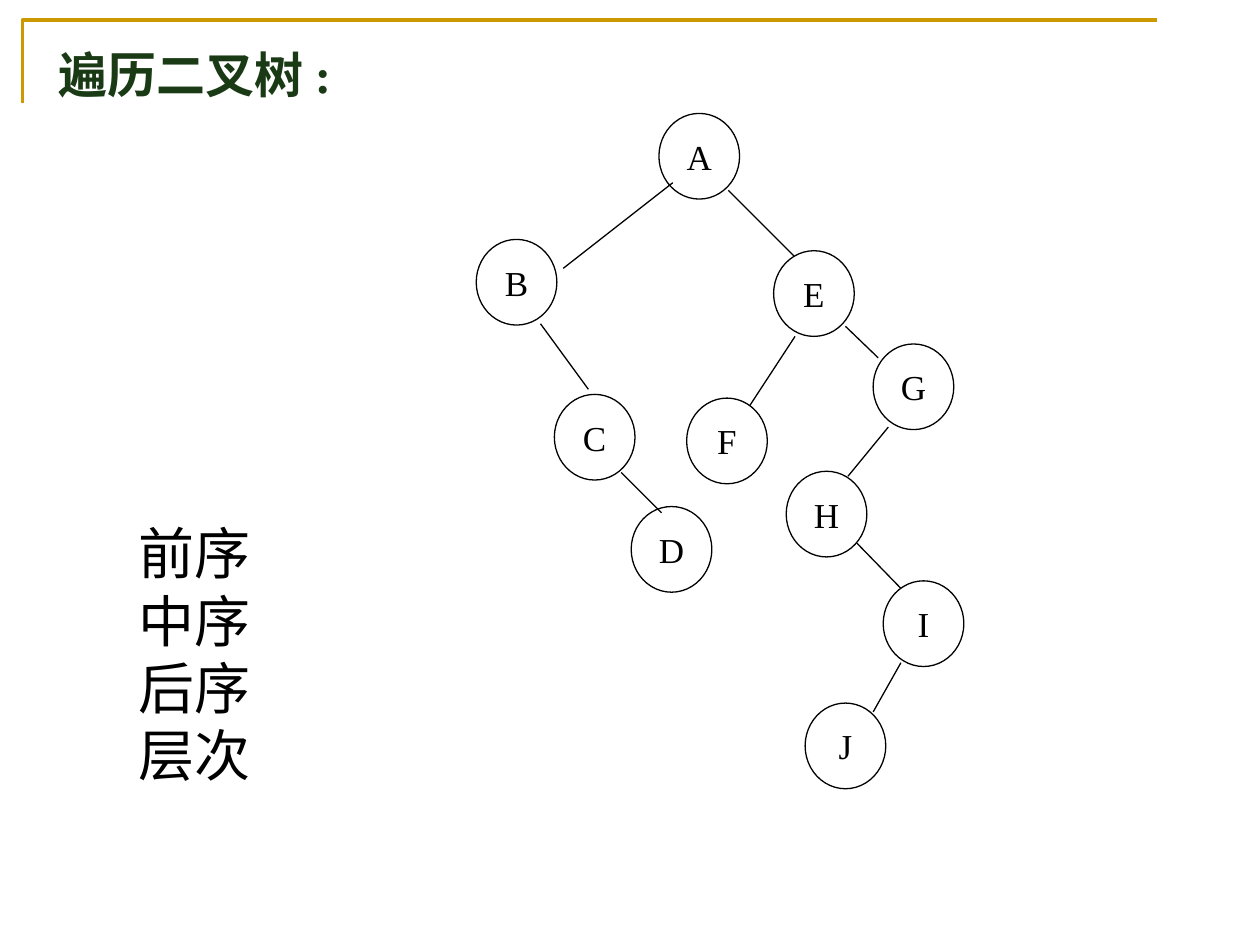
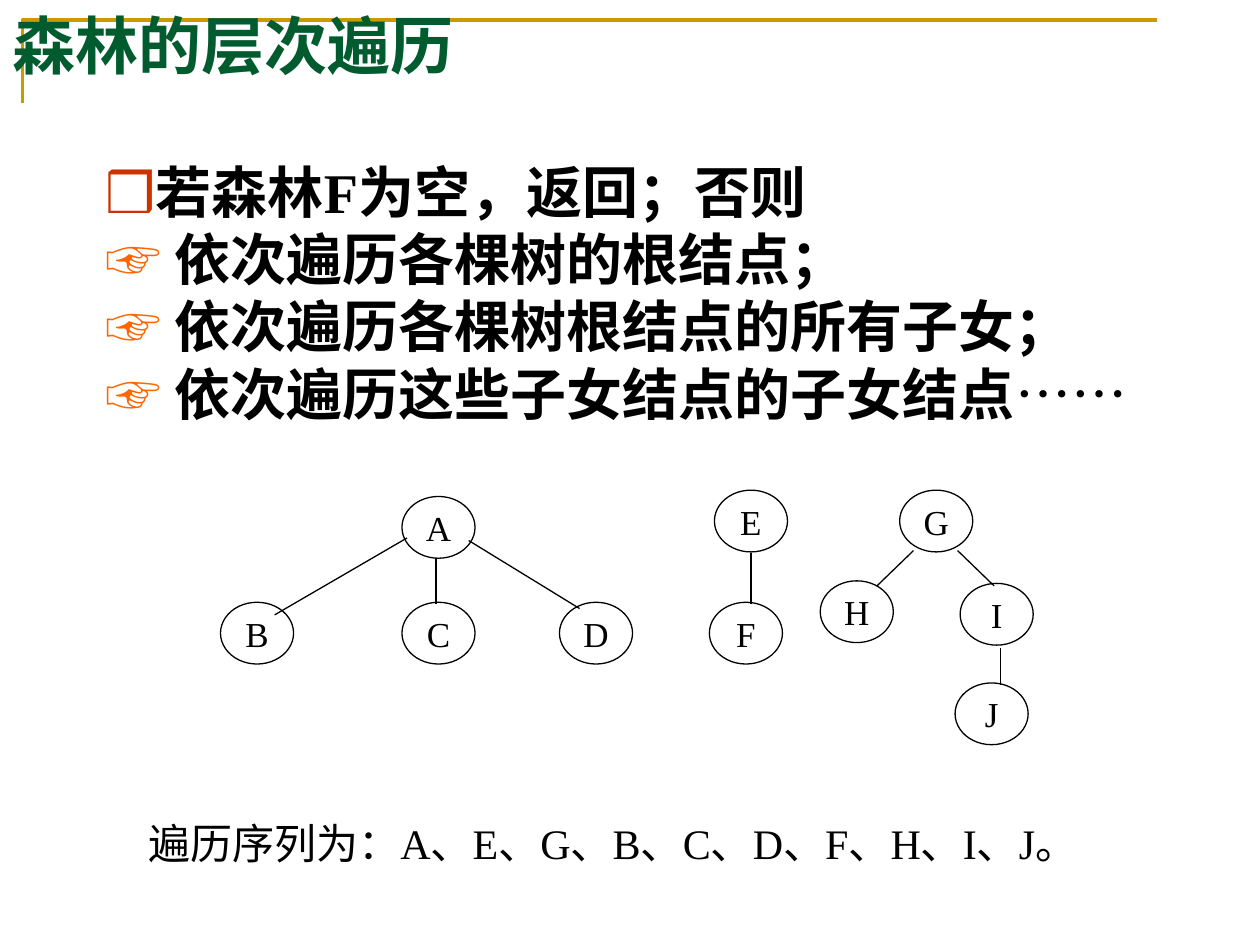
from pptx import Presentation
from pptx.dml.color import RGBColor
from pptx.enum.lang import MSO_LANGUAGE_ID as Lang
from pptx.enum.shapes import MSO_CONNECTOR as Link, MSO_SHAPE as Shape
from pptx.enum.text import MSO_ANCHOR as Anchor, PP_ALIGN as Align
from pptx.oxml.ns import qn
from pptx.util import Inches, Pt
from lxml.etree import SubElement as Sub

BLACK = RGBColor(0x00, 0x00, 0x00)
GOLD = RGBColor(0xCC, 0x99, 0x00)
MOSS = RGBColor(0x1A, 0x3A, 0x15)
GREEN = RGBColor(0x00, 0x5C, 0x2E)
RED = RGBColor(0xCC, 0x33, 0x00)
ORANGE = RGBColor(0xFF, 0x66, 0x00)
SERIF = "Times New Roman"
SANS = "Arial"


def apply(item, style):
    for key, value in style.items():
        setattr(item, key, value)


class Deck:
    def __init__(self):
        self.prs = Presentation()
        self.prs.slide_width = Inches(10)
        self.prs.slide_height = Inches(7.5)
        self.slide = None

    def page(self):
        self.slide = self.prs.slides.add_slide(self.prs.slide_layouts[6])
        left, top, right, foot = [Inches(n) for n in (0.18, 0.16, 9.18, 0.82)]
        pen = self.slide.shapes.build_freeform(left, foot, 1.0)
        pen.add_line_segments([(left, top), (right, top)], close=False)
        frame = pen.convert_to_shape()
        frame.shadow.inherit = False
        frame.fill.background()
        self.stroke(frame, GOLD, 2)

    def stroke(self, item, color=BLACK, width=0.75):
        item.line.color.rgb = color
        item.line.width = Pt(width)

    def run(self, para, text, size, color=BLACK, **style):
        run = para.add_run()
        run.text = text
        base = {"name": SERIF, "size": Pt(size), "bold": False,
                "language_id": Lang.SIMPLIFIED_CHINESE}
        apply(run.font, {**base, **style})
        run.font.color.rgb = color

    def text(self, box, lines, size, indent=0, **style):
        shape = self.slide.shapes.add_textbox(*[Inches(n) for n in box])
        frame = shape.text_frame
        frame.word_wrap = True
        for num, runs in enumerate(lines):
            para = frame.add_paragraph() if num else frame.paragraphs[0]
            apply(para, style)
            if indent:
                props = para._p.get_or_add_pPr()
                props.set("marL", str(Inches(indent)))
                props.set("indent", "0")
            for text, look in runs:
                self.run(para, text, size, **look)

    def node(self, name, spot, size):
        shape = self.slide.shapes.add_shape(
            Shape.OVAL, *[Inches(n) for n in spot + size])
        shape.shadow.inherit = False
        shape.fill.background()
        self.stroke(shape)
        frame = shape.text_frame
        apply(frame, {"word_wrap": False, "vertical_anchor": Anchor.MIDDLE})
        para = frame.paragraphs[0]
        para.alignment = Align.CENTER
        self.run(para, name, 20)

    def edge(self, ends):
        line = self.slide.shapes.add_connector(
            Link.STRAIGHT, *[Inches(n) for n in ends])
        self.stroke(line)
        Sub(line._element.spPr, qn("a:effectLst"))

    def graph(self, nodes, edges, size):
        for name, spot in nodes.items():
            self.node(name, spot, size)
        for ends in edges:
            self.edge(ends)


def binary(deck):
    deck.page()
    deck.text((0.37, 0.21, 8.67, 1.47),
              [[("遍历二叉树 :", {"color": MOSS, "bold": True})]], 28,
              line_spacing=1.2, space_before=Pt(17.5))
    nodes = {"A": (5.23, 0.9), "B": (3.78, 1.9), "C": (4.4, 3.13),
             "D": (5.01, 4.02), "E": (6.14, 1.99), "F": (5.45, 3.16),
             "G": (6.93, 2.73), "H": (6.24, 3.74), "I": (7.01, 4.61),
             "J": (6.39, 5.58)}
    edges = [(5.34, 1.45, 4.47, 2.13), (4.29, 2.57, 4.67, 3.09),
             (4.93, 3.75, 5.25, 4.07), (5.78, 1.51, 6.3, 2.03),
             (6.31, 2.67, 5.95, 3.22), (6.71, 2.59, 6.97, 2.84),
             (7.05, 3.39, 6.73, 3.78), (6.8, 4.31, 7.15, 4.67),
             (7.15, 5.26, 6.93, 5.65)]
    deck.graph(nodes, edges, (0.64, 0.68))
    orders = ["前序", "中序", "后序", "层次"]
    deck.text((1, 4.07, 1.33, 2.24),
              [[(order, {"name": SANS})] for order in orders], 32)


def forest(deck):
    deck.page()
    deck.text((0, 0, 10, 0.92),
              [[("森林的层次遍历", {"color": GREEN, "bold": True})]], 36)
    bold = {"bold": True}
    box = ("❒", {"name": SANS, "color": RED, **bold})
    hand = ("☞", {"name": SANS, "color": ORANGE, **bold})
    steps = [" 依次遍历各棵树的根结点；",
             " 依次遍历各棵树根结点的所有子女；",
             " 依次遍历这些子女结点的子女结点"]
    lines = [[box, ("若森林F为空，返回；否则", bold)]]
    lines += [[hand, (step, bold)] for step in steps]
    lines[-1].append(("……", {"name": SANS}))
    deck.text((0.33, 1.2, 9.3, 2.24), lines, 32, indent=0.41)
    root, leaf = 3.89, 4.78
    nodes = {"A": (3.19, 3.94), "B": (1.75, leaf), "C": (3.19, leaf),
             "D": (4.44, leaf), "E": (5.67, root), "F": (5.63, leaf),
             "G": (7.14, root), "H": (6.51, 4.61), "I": (7.62, 4.63),
             "J": (7.58, 5.42)}
    edges = [(3.23, 4.27, 2.18, 4.88), (3.46, 4.43, 3.46, 4.79),
             (3.72, 4.29, 4.6, 4.83), (5.96, 4.39, 5.96, 4.79),
             (7.25, 4.37, 6.96, 4.65), (7.6, 4.37, 7.89, 4.65),
             (7.94, 5.14, 7.94, 5.44)]
    deck.graph(nodes, edges, (0.58, 0.49))
    deck.text((1.08, 6.44, 8.36, 0.9),
              [[("遍历序列为：A、E、G、B、C、D、F、H、I、J。", {})]], 24,
              alignment=Align.JUSTIFY, space_before=Pt(15))


def main():
    deck = Deck()
    binary(deck)
    forest(deck)
    deck.prs.save("out.pptx")


if __name__ == "__main__":
    main()
